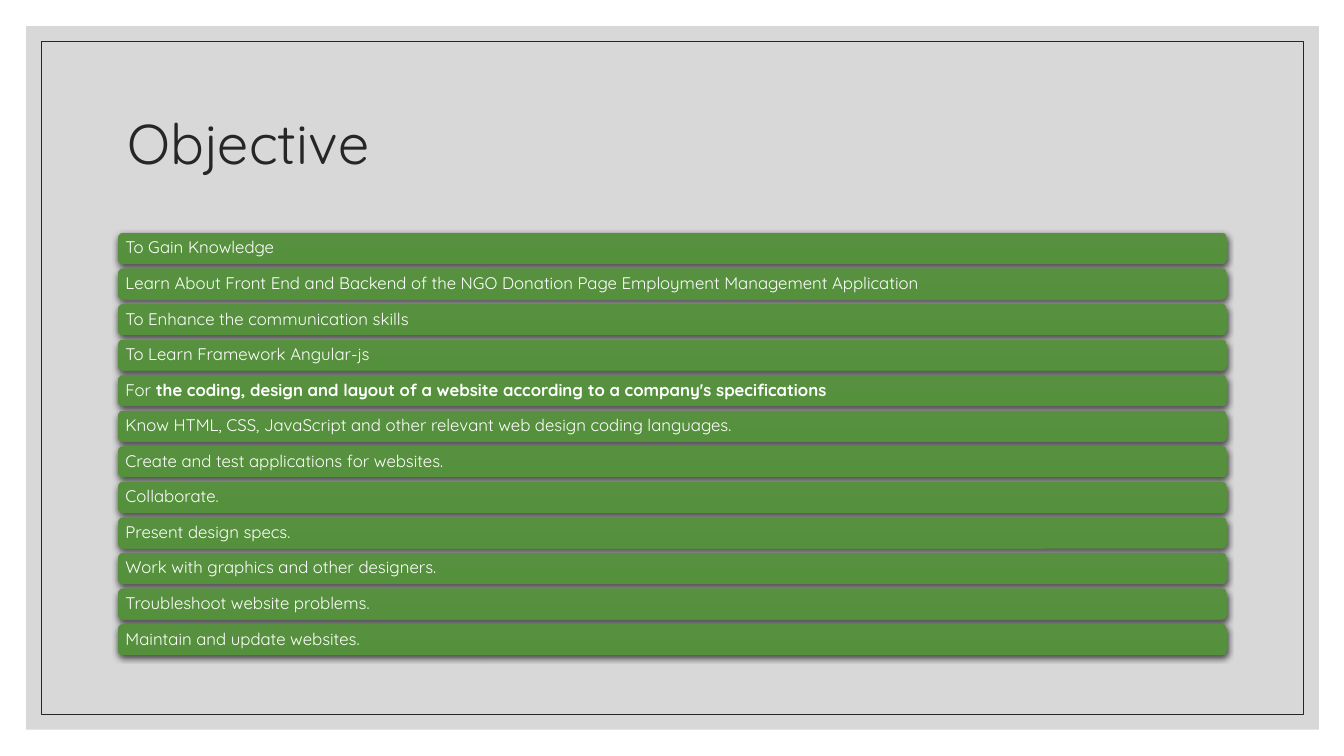
from lxml.etree import SubElement
from pptx import Presentation
from pptx.dml.color import RGBColor
from pptx.enum.shapes import MSO_SHAPE as SHAPE
from pptx.enum.text import MSO_ANCHOR as ANCHOR, PP_ALIGN as ALIGN
from pptx.oxml.ns import qn
from pptx.util import Inches, Pt

INK, WHITE, PANEL_GRAY = "262626", "FFFFFF", "BFBFBF"
BAR_GRADIENT = ("57903F", "55913C")

# Each objective is a list of (text, bold) runs
OBJECTIVES = [
    [("To Gain Knowledge", False)],
    [("Learn About Front End and Backend of the NGO Donation Page "
      "Employment Management Application", False)],
    [("To Enhance the communication skills", False)],
    [("To Learn Framework Angular-js", False)],
    [("For ", False),
     ("the coding, design and layout of a website according to "
      "a company's specifications", True)],
    [("Know HTML, CSS, JavaScript and other relevant web design "
      "coding languages.", False)],
    [("Create and test applications for websites.", False)],
    [("Collaborate.", False)],
    [("Present design specs.", False)],
    [("Work with graphics and other designers.", False)],
    [("Troubleshoot website problems.", False)],
    [("Maintain and update websites.", False)],
]


def color(hex_code):
    return RGBColor.from_string(hex_code)


def set_attributes(target, values):
    for name, value in values.items():
        setattr(target, name, value)


def write_line(frame, runs, size, hex_code, margins):
    """Write one left-aligned, vertically centred paragraph."""
    set_attributes(frame, {"word_wrap": True, "vertical_anchor": ANCHOR.MIDDLE,
                           **margins})
    paragraph = frame.paragraphs[0]
    set_attributes(paragraph, {"alignment": ALIGN.LEFT, "line_spacing": 0.9})
    for text, bold in runs:
        run = paragraph.add_run()
        run.text = text
        set_attributes(run.font, {"name": "Quicksand", "size": Pt(size),
                                  "bold": bold})
        run.font.color.rgb = color(hex_code)


def add_box(slide, kind, left, top, width, height):
    box = slide.shapes.add_shape(kind, Inches(left), Inches(top),
                                 Inches(width), Inches(height))
    box.shadow.inherit = False
    return box


def add_drop_shadow(bar):
    effects = bar._element.spPr.find(qn("a:effectLst"))
    shadow = SubElement(effects, qn("a:outerShdw"), blurRad=str(Pt(4.5)),
                        dist=str(Pt(1.5)), dir="5400000", algn="ctr",
                        rotWithShape="0")
    black = SubElement(shadow, qn("a:srgbClr"), val="000000")
    SubElement(black, qn("a:alpha"), val="63000")


def add_backdrop(slide, left, top, width, height):
    # Translucent gray panel
    panel = add_box(slide, SHAPE.RECTANGLE, left, top, width, height)
    panel.fill.solid()
    panel.fill.fore_color.rgb = color(PANEL_GRAY)
    panel.line.fill.background()
    tint = panel._element.spPr.find(qn("a:solidFill"))[0]
    SubElement(tint, qn("a:alpha"), val="60000")

    # Thin frame inside the panel
    inset = 0.15
    border = add_box(slide, SHAPE.RECTANGLE, left + inset, top + inset,
                     width - 2 * inset, height - 2 * inset)
    border.fill.background()
    border.line.color.rgb = color(INK)
    border.line.width = Pt(0.5)


def add_title(slide, left, top, width, height):
    title = slide.shapes.add_textbox(Inches(left), Inches(top),
                                     Inches(width), Inches(height))
    write_line(title.text_frame, [("Objective", False)], 40, INK, {})


def add_objectives(slide, left, top, width, height, bar_height=0.31):
    pitch = (height - bar_height) / (len(OBJECTIVES) - 1)
    margins = {"margin_left": Inches(0.06), "margin_right": Inches(0.06),
               "margin_top": Inches(0.05), "margin_bottom": Inches(0.05)}
    for row, runs in enumerate(OBJECTIVES):
        bar = add_box(slide, SHAPE.ROUNDED_RECTANGLE, left, top + row * pitch,
                      width, bar_height)
        bar.fill.gradient()
        bar.fill.gradient_angle = 270
        for stop, hex_code in zip(bar.fill.gradient_stops, BAR_GRADIENT):
            stop.color.rgb = color(hex_code)
        bar.line.fill.background()
        add_drop_shadow(bar)
        write_line(bar.text_frame, runs, 12, WHITE, margins)


def main():
    deck = Presentation()
    set_attributes(deck, {"slide_width": Inches(13.33),
                          "slide_height": Inches(7.5)})
    slide = deck.slides.add_slide(deck.slide_layouts[6])
    add_backdrop(slide, 0.26, 0.26, 12.82, 6.98)
    add_title(slide, 1.17, 0.7, 11, 1.5)
    add_objectives(slide, 1.17, 2.31, 11, 4.19)
    deck.save("out.pptx")


if __name__ == "__main__":
    main()
